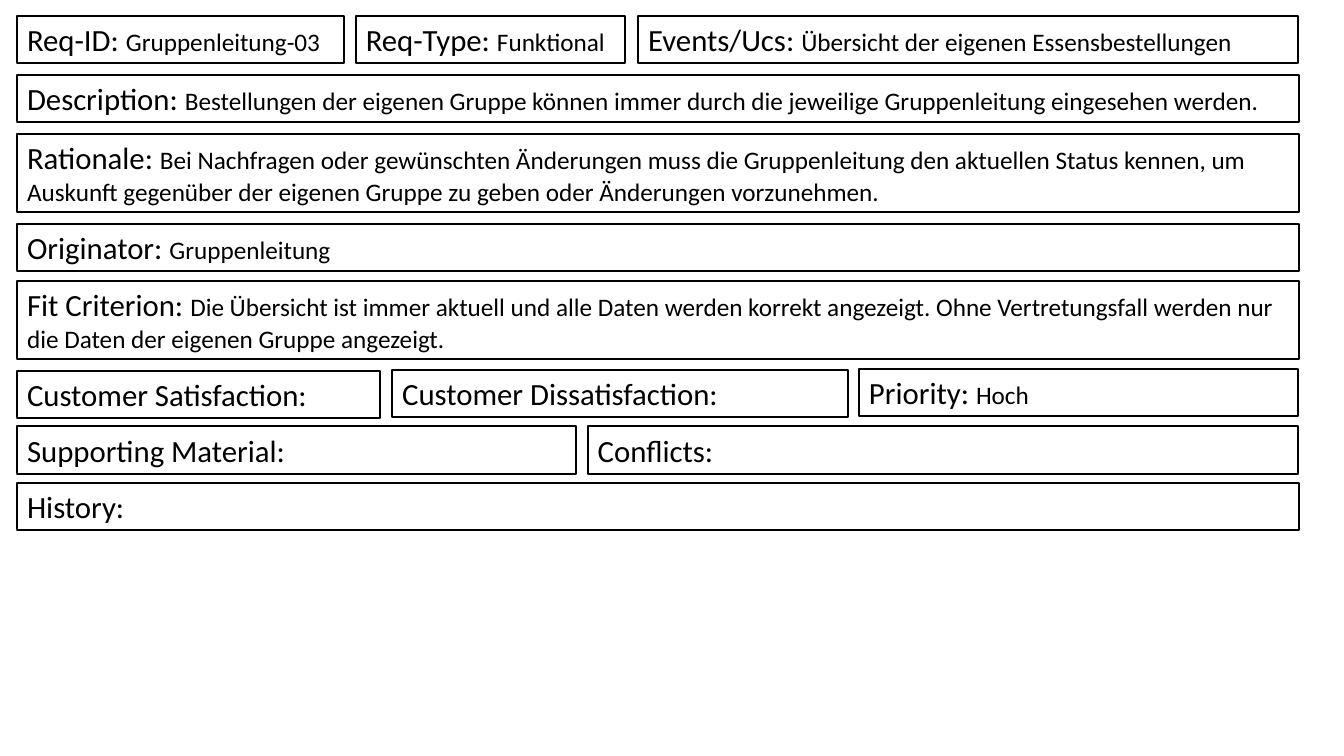
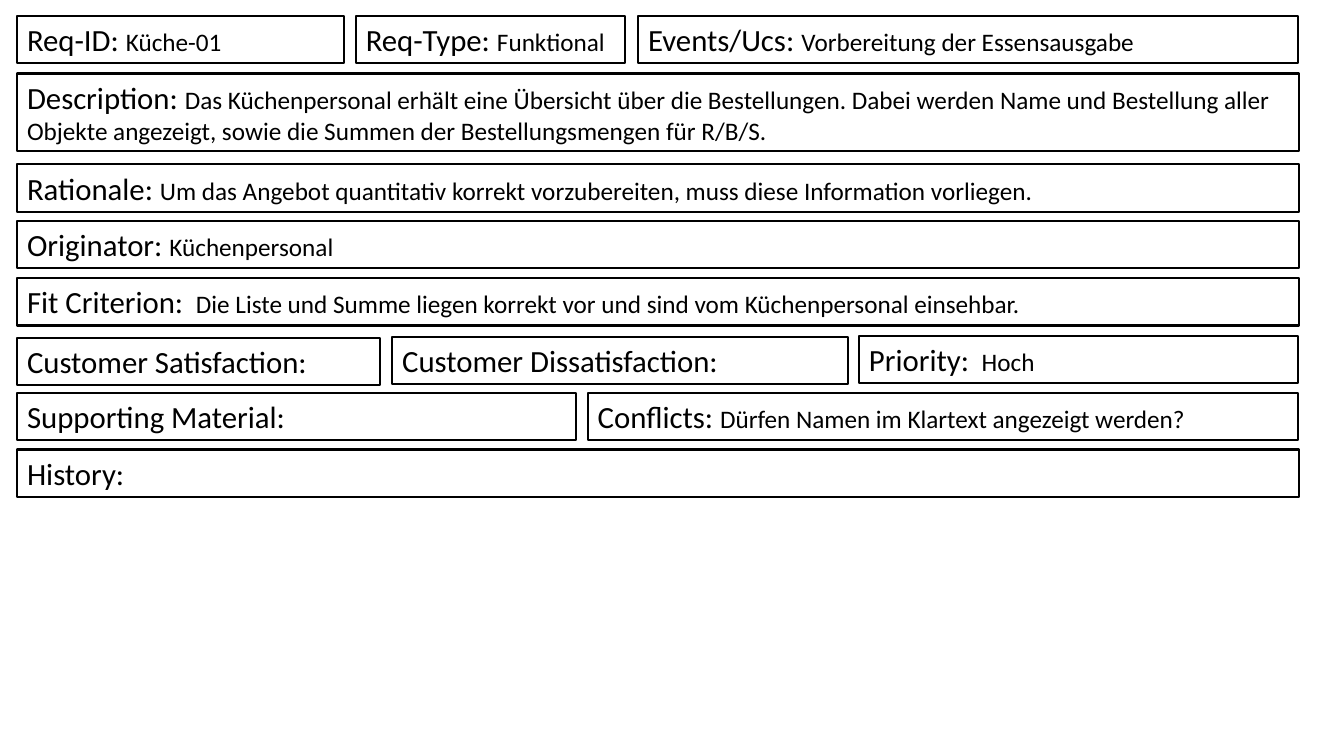
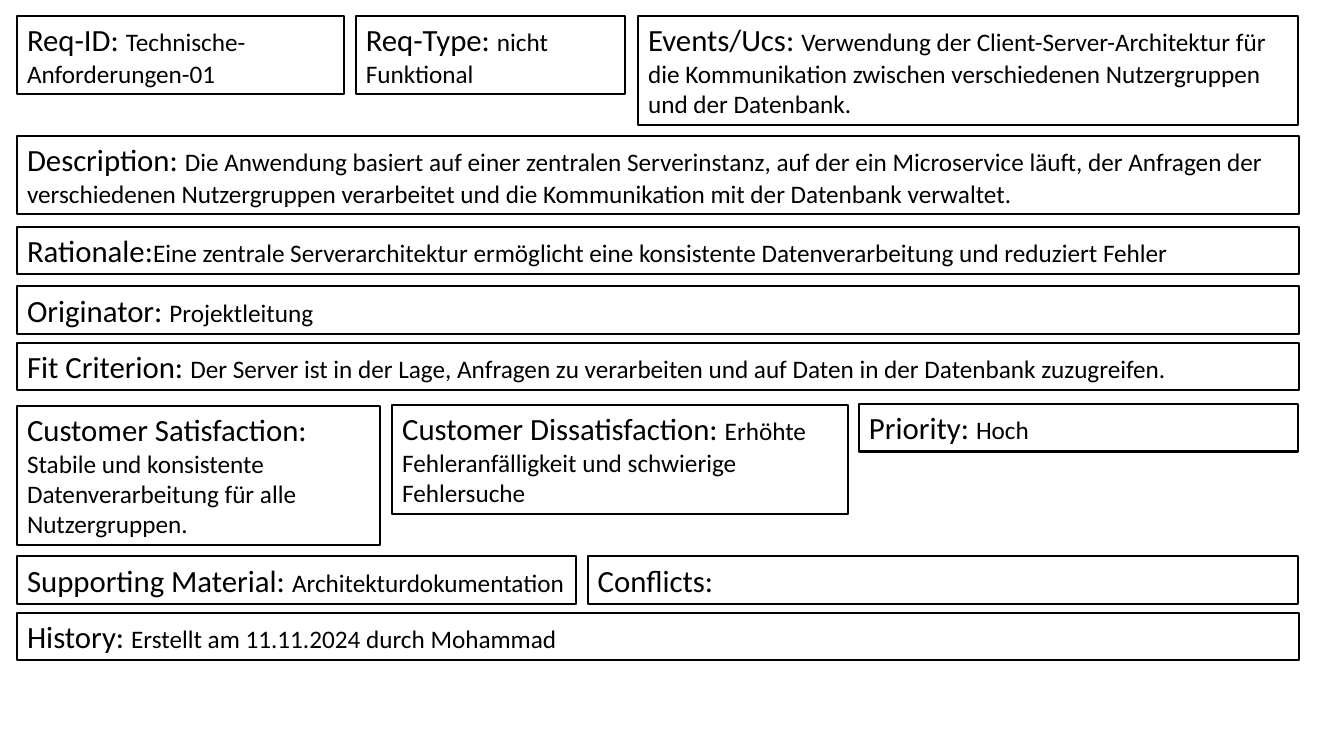
from pptx import Presentation
from pptx.dml.color import RGBColor
from pptx.enum.text import MSO_AUTO_SIZE, MSO_ANCHOR
from pptx.util import Inches, Pt

BLACK = RGBColor(0, 0, 0)
FONT = "Calibri"
LABEL_SIZE, TEXT_SIZE = Pt(22), Pt(18)
HEIGHTS = {1: 0.47, 2: 0.77, 3: 1.08, 4: 1.38}  # box height by number of text lines

# Form rows: (label, left, width, drop below the row's top)
ROWS = [
    [("Req-ID", 0.17, 3.24, 0), ("Req-Type", 3.53, 2.67, 0), ("Events/Ucs", 6.33, 6.54, 0)],
    [("Description", 0.17, 12.71, 0)],
    [("Rationale", 0.17, 12.71, 0)],
    [("Originator", 0.17, 12.71, 0)],
    [("Fit Criterion", 0.17, 12.71, 0)],
    [("Customer Satisfaction", 0.17, 3.6, 0.02),
     ("Customer Dissatisfaction", 3.89, 4.52, 0.01),
     ("Priority", 8.52, 4.35, 0)],
    [("Supporting Material", 0.17, 5.54, 0), ("Conflicts", 5.83, 7.04, 0)],
    [("History", 0.17, 12.71, 0)],
]

# Each card: tops of the rows, labels set without a following space,
# and per label the text with its number of lines
CARDS = [
    {
        "tops": [0.16, 0.74, 1.33, 2.22, 2.79, 3.66, 4.23, 4.79],
        "tight": [],
        "fields": {
            "Req-ID": ("Gruppenleitung-03", 1),
            "Req-Type": ("Funktional", 1),
            "Events/Ucs": ("Übersicht der eigenen Essensbestellungen", 1),
            "Description": ("Bestellungen der eigenen Gruppe können immer durch die jeweilige "
                            "Gruppenleitung eingesehen werden.", 1),
            "Rationale": ("Bei Nachfragen oder gewünschten Änderungen muss die Gruppenleitung "
                          "den aktuellen Status kennen, um Auskunft gegenüber der eigenen "
                          "Gruppe zu geben oder Änderungen vorzunehmen.", 2),
            "Originator": ("Gruppenleitung", 1),
            "Fit Criterion": ("Die Übersicht ist immer aktuell und alle Daten werden korrekt "
                              "angezeigt. Ohne Vertretungsfall werden nur die Daten der "
                              "eigenen Gruppe angezeigt.", 2),
            "Priority": ("Hoch", 1),
        },
    },
    {
        "tops": [0.16, 0.73, 1.63, 2.19, 2.76, 3.33, 3.9, 4.46],
        "tight": [],
        "fields": {
            "Req-ID": ("Küche-01", 1),
            "Req-Type": ("Funktional", 1),
            "Events/Ucs": ("Vorbereitung der Essensausgabe", 1),
            "Description": ("Das Küchenpersonal erhält eine Übersicht über die Bestellungen. "
                            "Dabei werden Name und Bestellung aller Objekte angezeigt, sowie "
                            "die Summen der Bestellungsmengen für R/B/S.", 2),
            "Rationale": ("Um das Angebot quantitativ korrekt vorzubereiten, muss diese "
                          "Information vorliegen.", 1),
            "Originator": ("Küchenpersonal", 1),
            "Fit Criterion": (" Die Liste und Summe liegen korrekt vor und sind vom "
                              "Küchenpersonal einsehbar.", 1),
            "Priority": (" Hoch", 1),
            "Conflicts": ("Dürfen Namen im Klartext angezeigt werden?", 1),
        },
    },
    {
        "tops": [0.16, 1.35, 2.25, 2.84, 3.4, 4.01, 5.52, 6.08],
        "tight": ["Rationale"],
        "fields": {
            "Req-ID": ("Technische-Anforderungen-01", 2),
            "Req-Type": ("nicht Funktional", 2),
            "Events/Ucs": ("Verwendung der Client-Server-Architektur für die Kommunikation "
                           "zwischen verschiedenen Nutzergruppen und der Datenbank.", 3),
            "Description": ("Die Anwendung basiert auf einer zentralen Serverinstanz, auf der "
                            "ein Microservice läuft, der Anfragen der verschiedenen "
                            "Nutzergruppen verarbeitet und die Kommunikation mit der "
                            "Datenbank verwaltet.", 2),
            "Rationale": ("Eine zentrale Serverarchitektur ermöglicht eine konsistente "
                          "Datenverarbeitung und reduziert Fehler", 1),
            "Originator": ("Projektleitung", 1),
            "Fit Criterion": ("Der Server ist in der Lage, Anfragen zu verarbeiten und auf "
                              "Daten in der Datenbank zuzugreifen.", 1),
            "Customer Satisfaction": ("Stabile und konsistente Datenverarbeitung für alle "
                                      "Nutzergruppen.", 4),
            "Customer Dissatisfaction": ("Erhöhte Fehleranfälligkeit und schwierige "
                                         "Fehlersuche", 3),
            "Priority": ("Hoch", 1),
            "Supporting Material": ("Architekturdokumentation", 1),
            "History": ("Erstellt am 11.11.2024 durch Mohammad", 1),
        },
    },
]


def add_run(p, text, size):
    r = p.add_run()
    r.text = text
    r.font.name, r.font.size = FONT, size
    r.font.color.rgb = BLACK


def add_field(slide, box, label, text):
    """Outlined box with a large label followed by smaller text."""
    sp = slide.shapes.add_textbox(*(Inches(v) for v in box))
    sp.line.color.rgb = BLACK
    sp.line.width = Pt(1.5)
    tf = sp.text_frame
    tf.word_wrap = True
    tf.auto_size = MSO_AUTO_SIZE.SHAPE_TO_FIT_TEXT
    tf.vertical_anchor = MSO_ANCHOR.TOP
    p = tf.paragraphs[0]
    add_run(p, label, LABEL_SIZE)
    if text:
        add_run(p, text, TEXT_SIZE)


def add_card(prs, card):
    slide = prs.slides.add_slide(prs.slide_layouts[6])
    for top, row in zip(card["tops"], ROWS):
        for name, left, width, drop in row:
            text, lines = card["fields"].get(name, ("", 1))
            gap = " " if text and name not in card["tight"] else ""
            add_field(slide, (left, top + drop, width, HEIGHTS[lines]), f"{name}:{gap}", text)


def main():
    prs = Presentation()
    prs.slide_width, prs.slide_height = Inches(13.33), Inches(7.5)
    for card in CARDS:
        add_card(prs, card)
    prs.save("out.pptx")


if __name__ == "__main__":
    main()
